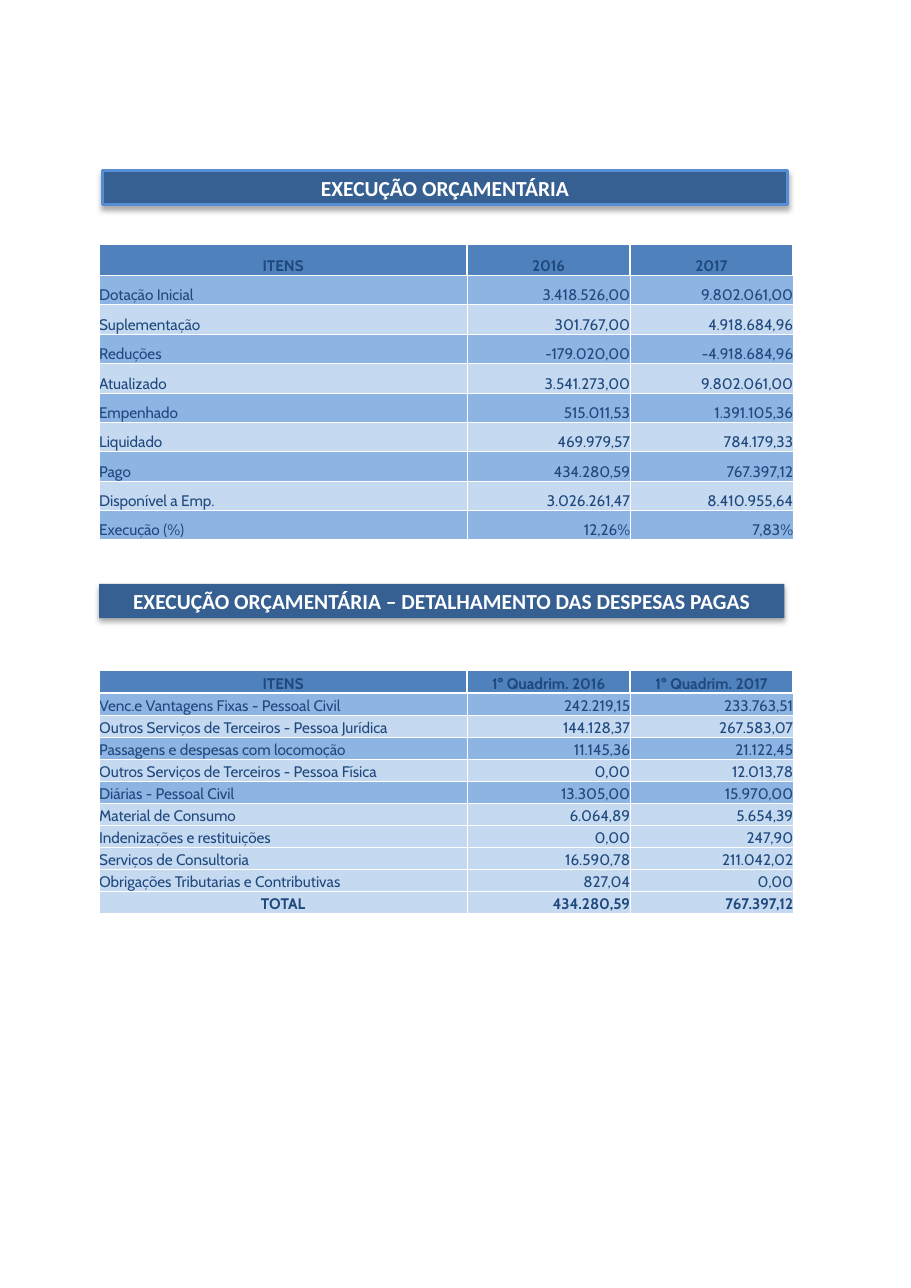
from dataclasses import dataclass

from lxml.etree import SubElement
from pptx import Presentation
from pptx.dml.color import RGBColor
from pptx.enum.shapes import MSO_SHAPE
from pptx.enum.text import MSO_ANCHOR as ANCHOR, MSO_AUTO_SIZE as AUTO, PP_ALIGN as ALIGN
from pptx.oxml.ns import qn
from pptx.util import Inches, Pt

WIDTH, HEIGHT = 8.27, 11.69
MARGIN = 0.9
BANNER_W, BANNER_H = 6.22, 0.31
COLUMNS = (3.34, 1.48, 1.48)
WHITE, NAVY, BANNER, EDGE = "FFFFFF", "1F497D", "376092", "558ED5"
HEAD, DARK, LIGHT = "4F81BD", "8DB4E3", "C5D9F1"


@dataclass
class Banner:
    text: str
    left: float
    top: float
    edge: str | None = None


@dataclass
class Budget:
    top: float
    height: float
    head_h: float
    striped: int  # body rows that alternate; the rest are light
    rows: list[tuple[str, str, str]]
    total: bool = False


BANNERS = [
    Banner("EXECUÇÃO ORÇAMENTÁRIA", MARGIN + 0.03, 1.55, EDGE),
    Banner("EXECUÇÃO ORÇAMENTÁRIA – DETALHAMENTO DAS DESPESAS PAGAS", MARGIN, 5.3),
]

BUDGETS = [
    Budget(2.22, 2.68, 0.28, 9, [
        ("ITENS", "2016", "2017"),
        ("Dotação Inicial", "3.418.526,00", "9.802.061,00"),
        ("Suplementação", "301.767,00", "4.918.684,96"),
        ("Reduções", "-179.020,00", "-4.918.684,96"),
        ("Atualizado", "3.541.273,00", "9.802.061,00"),
        ("Empenhado", "515.011,53", "1.391.105,36"),
        ("Liquidado", "469.979,57", "784.179,33"),
        ("Pago", "434.280,59", "767.397,12"),
        ("Disponível a Emp.", "3.026.261,47", "8.410.955,64"),
        ("Execução (%)", "12,26%", "7,83%"),
    ]),
    Budget(6.08, 2.21, 0.21, 5, [
        ("ITENS", "1º Quadrim. 2016", "1º Quadrim. 2017"),
        ("Venc.e Vantagens Fixas - Pessoal Civil", "242.219,15", "233.763,51"),
        ("Outros Serviços de Terceiros - Pessoa Jurídica", "144.128,37", "267.583,07"),
        ("Passagens e despesas com locomoção", "11.145,36", "21.122,45"),
        ("Outros Serviços de Terceiros - Pessoa Física", "0,00", "12.013,78"),
        ("Diárias - Pessoal Civil", "13.305,00", "15.970,00"),
        ("Material de Consumo", "6.064,89", "5.654,39"),
        ("Indenizações e restituições", "0,00", "247,90"),
        ("Serviços de Consultoria", "16.590,78", "211.042,02"),
        ("Obrigações Tributarias e Contributivas", "827,04", "0,00"),
        ("TOTAL", "434.280,59", "767.397,12"),
    ], total=True),
]


def paint(target, color: str) -> None:
    """Give a fill or a line's fill one solid colour."""
    target.solid()
    target.fore_color.rgb = RGBColor.from_string(color)


def write(tf, text: str, *, size: float, font: str, color: str,
          bold: bool = False, align=ALIGN.LEFT) -> None:
    p = tf.paragraphs[0]
    p.alignment = align
    r = p.add_run()
    r.text = text
    r.font.size, r.font.name, r.font.bold = Pt(size), font, bold
    paint(r.font.fill, color)


def add_shadow(sp) -> None:
    sp.shadow.inherit = False
    effects = sp._element.spPr.find(qn("a:effectLst"))
    shadow = SubElement(effects, qn("a:outerShdw"), blurRad=str(Pt(3.5)),
                        dist=str(Pt(2.2)), dir="5400000", rotWithShape="0")
    color = SubElement(shadow, qn("a:srgbClr"), val="000000")
    SubElement(color, qn("a:alpha"), val="32000")


def draw_banner(sp, banner: Banner) -> None:
    sp.left, sp.top = Inches(banner.left), Inches(banner.top)
    sp.width, sp.height = Inches(BANNER_W), Inches(BANNER_H)
    paint(sp.fill, BANNER)
    if banner.edge:
        paint(sp.line.fill, banner.edge)
        sp.line.width = Pt(2)
    else:
        sp.line.fill.background()
    add_shadow(sp)
    tf = sp.text_frame
    tf.word_wrap, tf.auto_size = True, AUTO.NONE
    tf.vertical_anchor = ANCHOR.MIDDLE
    write(tf, banner.text, size=14, font="Calibri", color=WHITE, bold=True,
          align=ALIGN.CENTER)


def add_borders(cell, widths: dict[str, float]) -> None:
    tc_pr = cell._tc.get_or_add_tcPr()
    for side, width in widths.items():
        line = SubElement(tc_pr, qn(f"a:ln{side}"), w=str(Pt(width)))
        fill = SubElement(line, qn("a:solidFill"))
        SubElement(fill, qn("a:srgbClr"), val=WHITE)


def draw_budget(s, budget: Budget) -> None:
    count = len(budget.rows)
    table = s.shapes.add_table(count, len(COLUMNS), Inches(MARGIN), Inches(budget.top),
                               Inches(sum(COLUMNS)), Inches(budget.height)).table
    for column, width in zip(table.columns, COLUMNS):
        column.width = Inches(width)
    body_h = (budget.height - budget.head_h) / (count - 1)

    for i, values in enumerate(budget.rows):
        head, total = i == 0, budget.total and i == count - 1
        table.rows[i].height = Inches(budget.head_h if head else body_h)
        color = HEAD if head else DARK if i % 2 and i <= budget.striped else LIGHT
        thin = 1 if head else 0.5
        borders = {"L": thin, "R": thin, "T": 1 if i < 2 else 0.5, "B": thin}
        for j, value in enumerate(values):
            cell = table.cell(i, j)
            cell.margin_left = cell.margin_right = cell.margin_top = cell.margin_bottom = 0
            cell.vertical_anchor = ANCHOR.BOTTOM
            add_borders(cell, borders)
            paint(cell.fill, color)
            centred = head or (total and j == 0)
            align = ALIGN.CENTER if centred else ALIGN.RIGHT if j else ALIGN.LEFT
            write(cell.text_frame, value, size=10, font="Cabin", color=NAVY,
                  bold=head or total, align=align)


prs = Presentation()
prs.slide_width, prs.slide_height = Inches(WIDTH), Inches(HEIGHT)
s = prs.slides.add_slide(prs.slide_layouts[5])

# Banners: the first is the slide title
draw_banner(s.shapes.title, BANNERS[0])
for banner in BANNERS[1:]:
    draw_banner(s.shapes.add_shape(MSO_SHAPE.RECTANGLE, 0, 0, 0, 0), banner)

# Budget tables
for budget in BUDGETS:
    draw_budget(s, budget)

prs.save("out.pptx")
